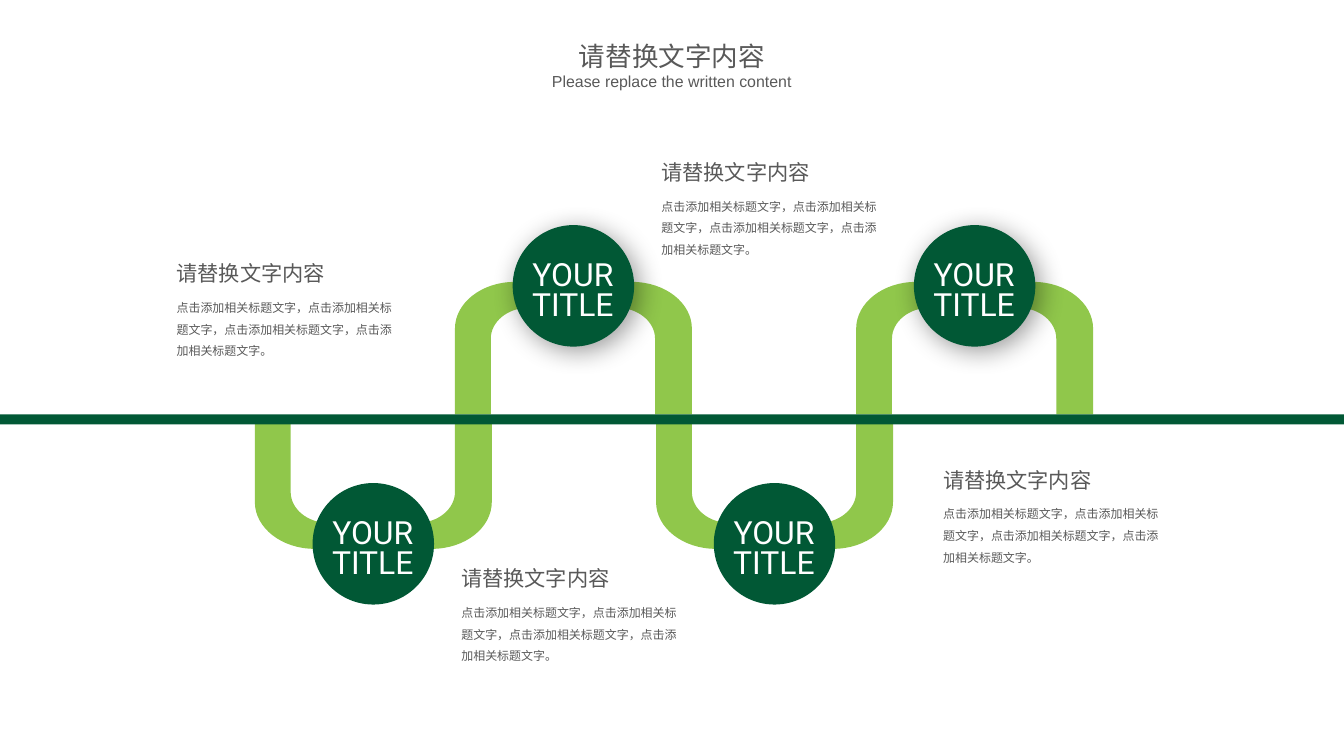
from lxml import etree
from pptx import Presentation
from pptx import util as u
from pptx.dml.color import RGBColor
from pptx.enum import shapes, text
from pptx.oxml import ns

HEADING = "请替换文字内容"
SUBTITLE = "Please replace the written content"
BODY = "，".join(["点击添加相关标题文字"] * 4) + "。"
LABEL = "YOUR TITLE"

COLORS = {"band": "90C74B", "dark": "015835", "text": "595959",
          "white": "FFFFFF", "shadow": "000000"}
CJK = "Noto Sans CJK SC"

# Left and top of each caption
CAPTIONS = [(168, 257), (454, 563), (655, 155), (938, 464)]

# One bend hanging down: a single point is a straight side, three are a curve
BEND = [[(0, 0)], [(36, 0)], [(36, 76)],
        [(36, 93), (53, 107), (74, 107)], [(163, 107)],
        [(184, 107), (201, 93), (201, 76)], [(201, 0)], [(238, 0)], [(238, 86)],
        [(238, 112), (211, 133), (178, 133)], [(60, 133)],
        [(27, 133), (0, 112), (0, 86)]]

PX = 9525
PAGE_W, PAGE_H = 1350, 759
BAR_TOP, BAR_W, BAR_H = 416, 1352, 10
BENDS, BEND_START, TWO_BENDS, BEND_W = 4, 256, 403, 238
CIRCLE = 122
CIRCLE_TOP = {"down": 485, "up": 226}
BEND_BASE = {"down": 418, "up": 416}


def px(value):
    return u.Emu(round(value * PX))


def paint(shape, color):
    shape.fill.solid()
    shape.fill.fore_color.rgb = RGBColor.from_string(COLORS[color])
    shape.line.fill.background()
    shape.shadow.inherit = False


def add_preset(kind, left, top, width, height, color):
    shape = page.shapes.add_shape(kind, px(left), px(top), px(width), px(height))
    paint(shape, color)
    return shape


def add_soft_shadow(shape):
    effects = shape._element.spPr.find(ns.qn("a:effectLst"))
    outer = etree.SubElement(effects, ns.qn("a:outerShdw"), blurRad="254000",
                             dist="63500", dir="2700000", algn="tl", rotWithShape="0")
    tint = etree.SubElement(outer, ns.qn("a:srgbClr"), val=COLORS["shadow"])
    etree.SubElement(tint, ns.qn("a:alpha"), val="40000")


def add_bend(left, base, direction):
    """Draw a U-shaped band hanging from base, or standing on it if direction is -1."""
    points = [(left + x, base + direction * y) for part in BEND for x, y in part]
    builder = page.shapes.build_freeform(*points[0], scale=PX)
    builder.add_line_segments(points[1:], close=True)
    band = builder.convert_to_shape()
    paint(band, "band")

    # Join the three straight steps of each curved part into one curve
    steps = iter(band._element.findall(".//" + ns.qn("a:lnTo")))
    for part in BEND[1:]:
        group = [next(steps) for _ in part]
        if len(group) == 3:
            curve = etree.Element(ns.qn("a:cubicBezTo"))
            group[0].addprevious(curve)
            for step in group:
                curve.append(step[0])
                step.getparent().remove(step)


def add_text(words, left, top, width, height, size, font, color="text",
             align=text.PP_ALIGN.LEFT, spacing=1.0, wrap=True):
    box = page.shapes.add_textbox(px(left), px(top), px(width), px(height))
    frame = box.text_frame
    frame.word_wrap = wrap
    frame.auto_size = text.MSO_AUTO_SIZE.SHAPE_TO_FIT_TEXT
    frame.text = words
    para = frame.paragraphs[0]
    para.alignment = align
    para.line_spacing = spacing
    span = para.runs[0]
    span.font.size = u.Pt(size)
    span.font.name = font
    span.font.color.rgb = RGBColor.from_string(COLORS[color])
    etree.SubElement(span._r.get_or_add_rPr(), ns.qn("a:ea"), typeface=CJK)


deck = Presentation()
deck.slide_width, deck.slide_height = px(PAGE_W), px(PAGE_H)
page = deck.slides.add_slide(deck.slide_layouts[6])
center = text.PP_ALIGN.CENTER

bends = [(BEND_START + i * TWO_BENDS // 2, "up" if i % 2 else "down")
         for i in range(BENDS)]
for left, side in bends:
    add_bend(left, BEND_BASE[side], 1 if side == "down" else -1)
    circle = add_preset(shapes.MSO_SHAPE.OVAL, left + (BEND_W - CIRCLE) / 2,
                        CIRCLE_TOP[side], CIRCLE, CIRCLE, "dark")
    if side == "up":
        add_soft_shadow(circle)

add_preset(shapes.MSO_SHAPE.RECTANGLE, 0, BAR_TOP, BAR_W, BAR_H, "dark")

for left, side in bends:
    add_text(LABEL, left + 66, CIRCLE_TOP[side] + 32, 105, 72, 24, "Roboto",
             "white", center, 0.8)

for left, top in CAPTIONS:
    add_text(BODY, left, top + 33, 245, 75, 9, CJK, spacing=1.5)
    add_text(HEADING, left, top, 170, 36, 16, "Calibri", wrap=False)

add_text(HEADING, 571, 19, 208, 53, 20, "Calibri", align=center, spacing=1.5, wrap=False)
add_text(SUBTITLE, 544, 58, 262, 36, 12, "Arial", align=center, spacing=1.5, wrap=False)

deck.save("out.pptx")
